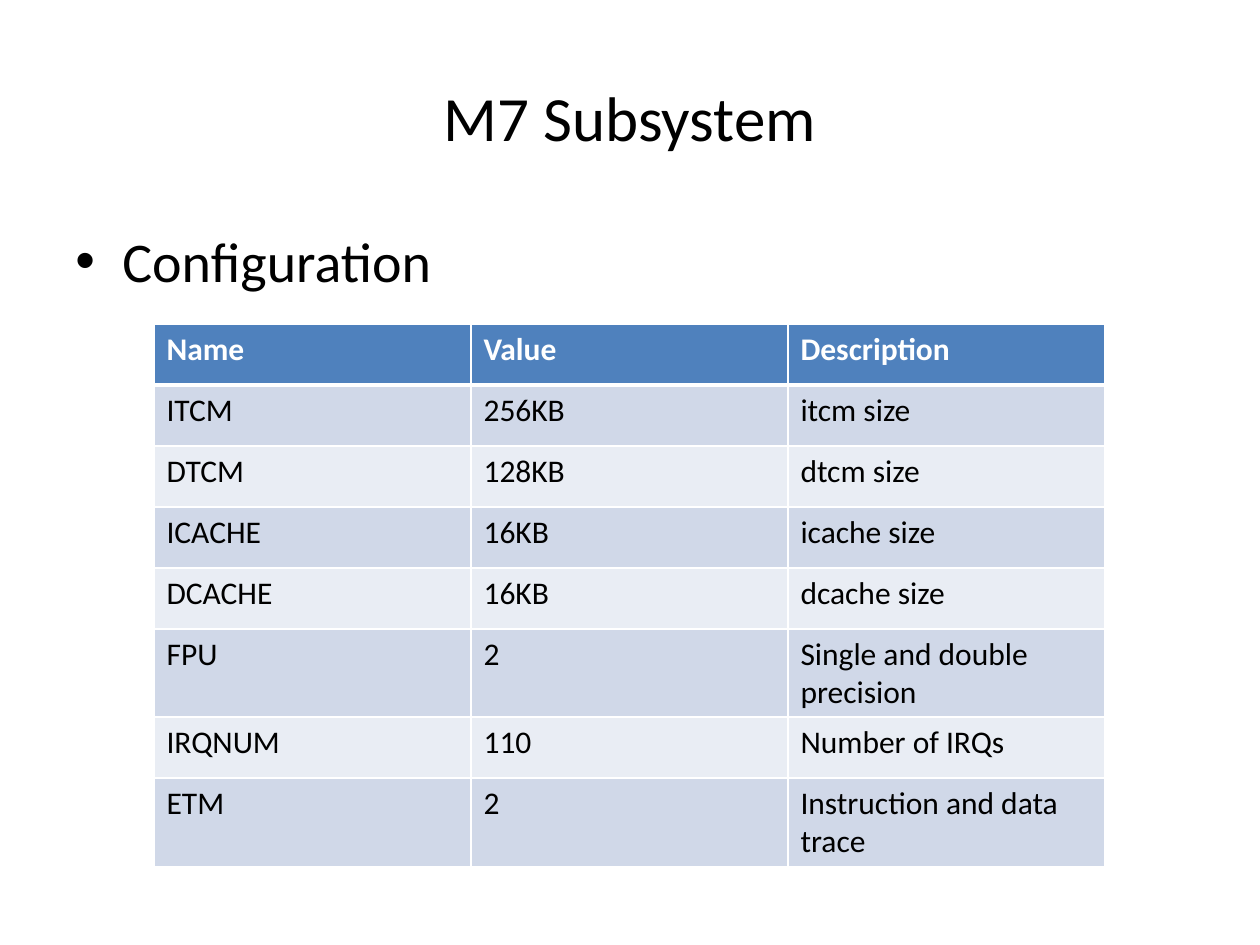
import pptx
import pptx.dml.color
import pptx.enum.text
import pptx.oxml
import pptx.oxml.ns
import pptx.util

PIXEL = 914400 / 126
COLORS = {"text": "000000", "white": "FFFFFF", "header": "4F81BD",
          "odd": "D0D8E8", "even": "E9EDF4"}
ROWS = [
    ("Name", "Value", "Description"),
    ("ITCM", "256KB", "itcm size"),
    ("DTCM", "128KB", "dtcm size"),
    ("ICACHE", "16KB", "icache size"),
    ("DCACHE", "16KB", "dcache size"),
    ("FPU", "2", "Single and double precision"),
    ("IRQNUM", "110", "Number of IRQs"),
    ("ETM", "2", "Instruction and data trace"),
]


def px(value):
    """Turn whole pixels into EMU."""
    return pptx.util.Emu(round(value * PIXEL))


def add_xml(parent, xml):
    """Append one drawing element and return it."""
    namespace = pptx.oxml.ns.nsdecls("a")
    element = pptx.oxml.parse_xml(xml.replace(" ", f" {namespace} ", 1))
    parent.append(element)
    return element


class SlideBuilder:
    """Holds the style and the current slide."""

    def __init__(self, slide, font="Calibri"):
        self.slide = slide
        self.font = font

    def add_run(self, paragraph, text, size, color="text", bold=False):
        """Add one styled run."""
        run = paragraph.add_run()
        run.text = text
        run.font.name = self.font
        run.font.size = pptx.util.Pt(size)
        run.font.bold = bold
        run.font.color.rgb = pptx.dml.color.RGBColor.from_string(COLORS[color])

    def add_text(self, box, text, size, anchor):
        """Add a wrapping text box and return its paragraph."""
        shape = self.slide.shapes.add_textbox(*map(px, box))
        shape.text_frame.word_wrap = True
        shape.text_frame.vertical_anchor = anchor
        paragraph = shape.text_frame.paragraphs[0]
        self.add_run(paragraph, text, size)
        return paragraph

    def add_title(self, box, text):
        """Add the centred title."""
        paragraph = self.add_text(box, text, 36, pptx.enum.text.MSO_ANCHOR.MIDDLE)
        paragraph.alignment = pptx.enum.text.PP_ALIGN.CENTER

    def add_bullet(self, box, text, indent):
        """Add a bulleted line with a hanging indent."""
        paragraph = self.add_text(box, text, 32, pptx.enum.text.MSO_ANCHOR.TOP)
        properties = paragraph._p.get_or_add_pPr()
        properties.set("marL", str(px(indent)))
        properties.set("indent", str(-px(indent)))
        add_xml(properties, '<a:spcBef ><a:spcPct val="20000"/></a:spcBef>')
        add_xml(properties, '<a:buFont typeface="Arial"/>')
        add_xml(properties, '<a:buChar char="\u2022"/>')

    def add_borders(self, cell, bottom, top):
        """Draw white borders, widths in points."""
        properties = cell._tc.get_or_add_tcPr()
        widths = {"lnL": 1, "lnR": 1, "lnT": top, "lnB": bottom}
        for index, (side, width) in enumerate(widths.items()):
            line = add_xml(properties, f'<a:{side} w="{pptx.util.Pt(width)}"><a:solidFill>'
                           f'<a:srgbClr val="{COLORS["white"]}"/></a:solidFill></a:{side}>')
            properties.insert(index, line)

    def add_table(self, left, top, column_width, row_height, rows):
        """Add a banded table with a header row."""
        columns = len(rows[0])
        frame = self.slide.shapes.add_table(
            len(rows), columns, px(left), px(top),
            px(column_width * columns), px(row_height * len(rows)))
        table = frame.table
        for column in table.columns:
            column.width = px(column_width)
        for row_index, values in enumerate(rows):
            table.rows[row_index].height = px(row_height)
            header = row_index == 0
            fill = "header" if header else ("even", "odd")[row_index % 2]
            for column_index, text in enumerate(values):
                cell = table.cell(row_index, column_index)
                cell.fill.solid()
                cell.fill.fore_color.rgb = pptx.dml.color.RGBColor.from_string(COLORS[fill])
                self.add_run(cell.text_frame.paragraphs[0], text, 18,
                             "white" if header else "text", header)
                self.add_borders(cell, bottom=3 if header else 1,
                                 top=3 if row_index == 1 else 1)


presentation = pptx.Presentation()
presentation.slide_width = px(1260)
presentation.slide_height = px(945)
builder = SlideBuilder(presentation.slides.add_slide(presentation.slide_layouts[6]))
builder.add_title((63, 38, 1134, 157), "M7 Subsystem")
builder.add_bullet((63, 220, 1134, 624), "Configuration", 47)
builder.add_table(154, 324, 317, 61, ROWS)
presentation.save("out.pptx")
